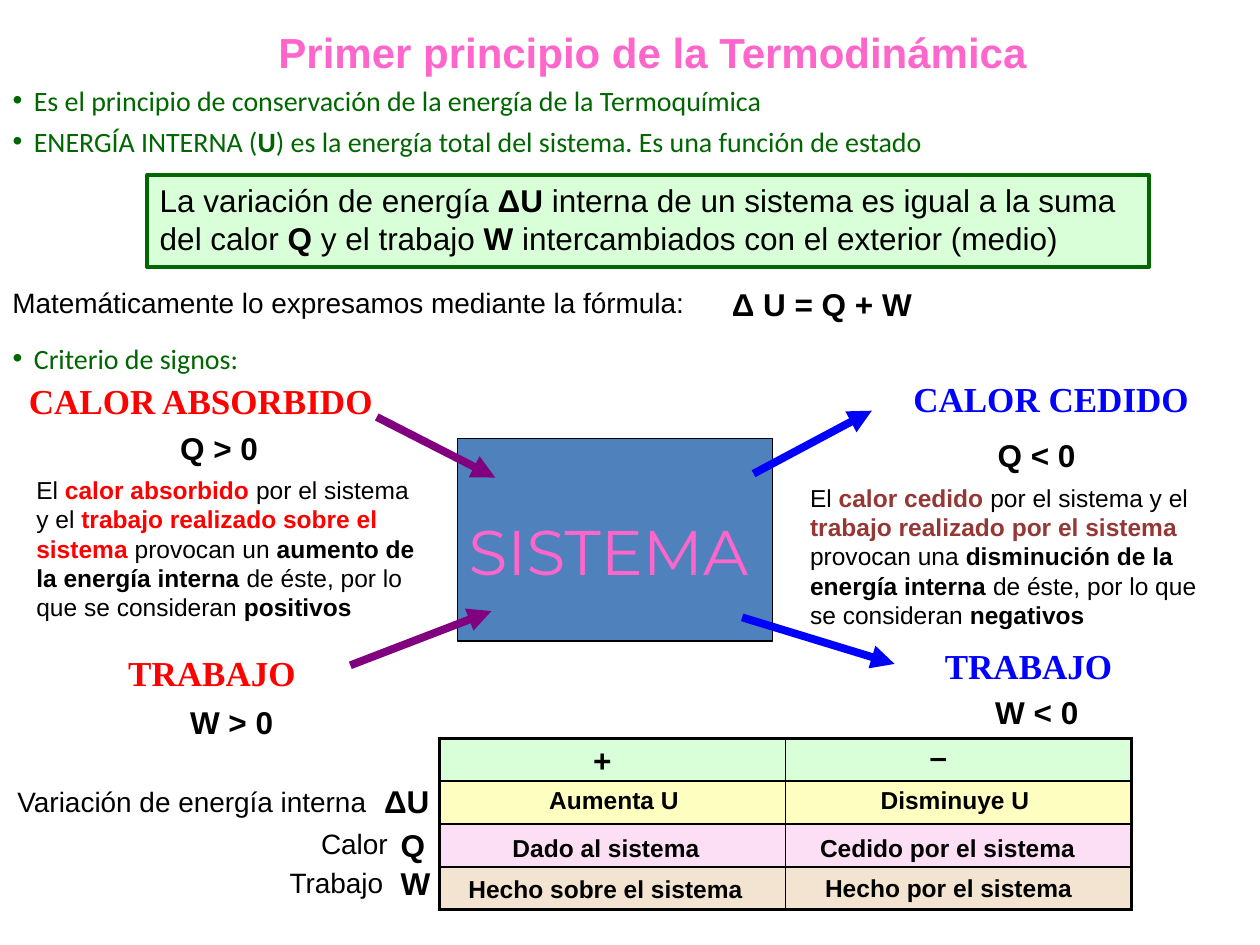
from lxml import etree
from pptx import Presentation
from pptx.dml.color import RGBColor
from pptx.enum import shapes, text
from pptx.oxml import ns
from pptx.util import Pt

BLACK, GREEN, PINK = "000000", "006600", "FF66CC"
RED, BLUE, PURPLE, BROWN = "FF0000", "0000FF", "800080", "953735"
PALE_GREEN = "D9FFD9"


def rgb(value):
    return RGBColor.from_string(value)


def xml_child(parent, tag, **attrs):
    return etree.SubElement(parent, ns.qn(tag), attrs)


def write(p, parts, size, color=BLACK, font="Arial", bold=False):
    """Add runs; a tuple (text, colour) is a bold run in that colour."""
    for part in [parts] if isinstance(parts, str) else parts:
        plain = isinstance(part, str)
        r = p.add_run()
        r.text = part if plain else part[0]
        look = {"size": Pt(size), "name": font, "bold": bold if plain else True}
        for name, value in look.items():
            setattr(r.font, name, value)
        r.font.color.rgb = rgb(color if plain else part[1])


def place(sp, box):
    for name, value in zip(("left", "top", "width", "height"), box):
        setattr(sp, name, Pt(value))
    return sp


def add_text(s, box, parts, size, **look):
    sp = s.shapes.add_textbox(*map(Pt, box))
    sp.text_frame.word_wrap = True
    write(sp.text_frame.paragraphs[0], parts, size, **look)


def add_box(s, box, fill, line, width):
    sp = s.shapes.add_shape(shapes.MSO_SHAPE.RECTANGLE, *map(Pt, box))
    sp.shadow.inherit = False
    sp.fill.solid()
    sp.fill.fore_color.rgb = rgb(fill)
    sp.line.color.rgb = rgb(line)
    sp.line.width = Pt(width)
    return sp


def add_arrow(s, ends, color):
    c = s.shapes.add_connector(shapes.MSO_CONNECTOR.STRAIGHT, *map(Pt, ends))
    c.line.color.rgb = rgb(color)
    c.line.width = Pt(4.5)
    xml_child(c.line._get_or_add_ln(), "a:tailEnd", type="triangle")
    xml_child(c._element.spPr, "a:effectLst")


def fill_title(sp, box, title):
    tf = place(sp, box).text_frame
    tf.auto_size = text.MSO_AUTO_SIZE.NONE
    tf.vertical_anchor = text.MSO_ANCHOR.TOP
    p = tf.paragraphs[0]
    p.alignment = text.PP_ALIGN.LEFT
    write(p, title, 24, color=PINK, bold=True)


def fill_bullets(sp, box, items):
    tf = place(sp, box).text_frame
    tf.auto_size = text.MSO_AUTO_SIZE.NONE
    for i, item in enumerate(items):
        p = tf.add_paragraph() if i else tf.paragraphs[0]
        p.space_before = Pt(4.3 if i else 0)
        pPr = p._p.get_or_add_pPr()
        pPr.set("marL", str(Pt(12.2)))
        pPr.set("indent", str(Pt(-12.2)))
        xml_child(pPr, "a:buFont", typeface="Arial")
        xml_child(pPr, "a:buChar", char="•")
        write(p, item, 16, color=GREEN, font="Calibri")


def add_law(s, box):
    """The framed statement, with the formula below it."""
    x, y, w, h = box
    tf = add_box(s, (x, y, w, h), PALE_GREEN, GREEN, 2.25).text_frame
    tf.word_wrap = True
    tf.vertical_anchor = text.MSO_ANCHOR.TOP
    p = tf.paragraphs[0]
    p.alignment = text.PP_ALIGN.LEFT
    write(p, ["La variación de energía ", ("ΔU", BLACK),
              " interna de un sistema es igual a la suma del calor ", ("Q", BLACK),
              " y el trabajo ", ("W", BLACK),
              " intercambiados con el exterior (medio)"], 18)
    add_text(s, (x - 84.2, y + 59.7, 465, 26.6),
             "Matemáticamente lo expresamos mediante la fórmula:", 16)
    add_text(s, (x + 326.9, y + 59, 126.7, 28.8), "Δ U = Q + W", 18, bold=True)


def add_system(s, box):
    """The system, with energy going in on the left and out on the right."""
    x, y, w, h = box
    add_box(s, box, "4F81BD", BLACK, 1)
    sp = s.shapes.add_textbox(Pt(x - 1.7), Pt(y + 38.8), Pt(176), Pt(51.2))
    tf = sp.text_frame
    for name, value in {"word_wrap": False, "margin_left": 0, "margin_right": 0}.items():
        setattr(tf, name, value)
    p = tf.paragraphs[0]
    p.alignment = text.PP_ALIGN.CENTER
    write(p, "SISTEMA", 36, font="Montserrat")
    fill = p.runs[0].font.fill
    fill.gradient()
    fill.gradient_angle = 270
    for stop, color in zip(fill.gradient_stops, (PINK, "762F5E")):
        stop.color.rgb = rgb(color)
    for color, x1, y1, x2, y2 in (
            (PURPLE, -46.1, -12.3, 21.6, 22.3), (BLUE, 169.2, 20.1, 236.8, -15.9),
            (PURPLE, -61.2, 129.6, 19.4, 98.6), (BLUE, 162.7, 102.2, 249.8, 128.8)):
        add_arrow(s, (x + x1, y + y1, x + x2, y + y2), color)


def add_side(s, origin, color, sign, heat, body, offsets):
    """Heat heading, its sign, explanation, work heading and its sign."""
    heading = {"size": 20, "color": color, "font": "Times New Roman", "bold": True}
    formula = {"size": 18, "bold": True}
    parts = ((heat, heading), (f"Q {sign} 0", formula), (body, {"size": 14}),
             ("TRABAJO", heading), (f"W {sign} 0", formula))
    for (words, look), (dx, dy, w, h) in zip(parts, offsets):
        add_text(s, (origin[0] + dx, origin[1] + dy, w, h), words, **look)


def set_borders(cell, widths):
    tcPr = cell._tc.get_or_add_tcPr()
    for i, (side, width) in enumerate(zip("LRTB", widths)):
        ln = etree.Element(ns.qn(f"a:ln{side}"), w=str(Pt(width)))
        xml_child(xml_child(ln, "a:solidFill"), "a:srgbClr", val=BLACK)
        tcPr.insert(i, ln)


def add_sign_table(s, box):
    x, y, w, h = box
    fills = (PALE_GREEN, "FFFEC1", "FDDFF5", "F3E4D1")
    rows, cols = len(fills), 2
    tbl = s.shapes.add_table(rows, cols, *map(Pt, box)).table
    tbl.first_row = tbl.horz_banding = False
    for i, fill in enumerate(fills):
        tbl.rows[i].height = Pt(h / rows)
        for j in range(cols):
            cell = tbl.cell(i, j)
            for side in ("left", "top", "right", "bottom"):
                setattr(cell, f"margin_{side}", 0)
            cell.fill.solid()
            cell.fill.fore_color.rgb = rgb(fill)
            outer = (j == 0, j == cols - 1, i == 0, i == rows - 1)
            set_borders(cell, [2.25 if edge else 1 for edge in outer])
    for words, size, bold, dx, dy, width in (
            ("Variación de energía interna", 16, False, -248.4, 23, 251.3),
            ("ΔU", 18, True, -38.9, 21.6, 48.2),
            ("Calor", 16, False, -74.9, 46.8, 64),
            ("Q", 18, True, -29.5, 46.8, 48.2),
            ("Trabajo", 16, False, -92.9, 69.1, 83.5),
            ("W", 18, True, -29.5, 68.4, 48.2),
            ("+", 18, True, 80.6, -2.1, 48.2),
            ("–", 18, True, 272.9, -4.3, 48.2),
            ("Aumenta U", 14, True, 55.4, 23, 149.8),
            ("Disminuye U", 14, True, 244.8, 23, 149.8),
            ("Dado al sistema", 14, True, 34.5, 50.4, 153.4),
            ("Cedido por el sistema", 14, True, 210.2, 50.4, 170),
            ("Hecho sobre el sistema", 14, True, 9.3, 74.2, 187.2),
            ("Hecho por el sistema", 14, True, 213.1, 73.4, 187.2)):
        add_text(s, (x + dx, y + dy, width, size * 1.2 + 7.2), words, size, bold=bold)


def main():
    prs = Presentation()
    prs.slide_width, prs.slide_height = Pt(720), Pt(540)
    s = prs.slides.add_slide(prs.slide_layouts[3])
    title, principles, criterion = s.placeholders
    fill_title(title, (151.9, 11.5, 443.5, 36), "Primer principio de la Termodinámica")
    fill_bullets(principles, (0, 43.9, 697, 50.4), [
        "Es el principio de conservación de la energía de la Termoquímica",
        ["ENERGÍA INTERNA (", ("U", GREEN),
         ") es la energía total del sistema. Es una función de estado"]])
    fill_bullets(criterion, (0, 191.5, 218.9, 26.6), ["Criterio de signos:"])
    add_law(s, (84.2, 100.1, 572.4, 52.6))
    add_system(s, (261.4, 250.6, 180, 115.9))
    add_side(s, (9.4, 213.1), RED, ">", "CALOR ABSORBIDO",
             ["El ", ("calor absorbido", RED), " por el sistema y el ",
              ("trabajo realizado sobre el sistema", RED), " provocan un ",
              ("aumento de la energía interna", BLACK),
              " de éste, por lo que se consideran ", ("positivos", BLACK)],
             ((0, 0, 212.4, 31), (86.4, 28.8, 60, 28.8), (4.3, 54.7, 237.6, 90.7),
              (56.8, 155.5, 113.8, 31), (92.1, 185.1, 70.6, 28.8)))
    add_side(s, (455.8, 212.4), BLUE, "<", "CALOR CEDIDO",
             ["El ", ("calor cedido ", BROWN), "por el sistema y el ",
              ("trabajo realizado por el sistema ", BROWN), "provocan una ",
              ("disminución de la energía interna", BLACK),
              " de éste, por lo que se consideran ", ("negativos", BLACK)],
             ((59, 0, 177.8, 31), (107.2, 33.1, 60, 28.8), (0, 59.8, 252.7, 92.2),
              (77, 152.6, 113.8, 31), (105.8, 180, 70.6, 28.8)))
    add_sign_table(s, (251.3, 421.9, 395.3, 97.9))
    prs.save("out.pptx")


if __name__ == "__main__":
    main()
